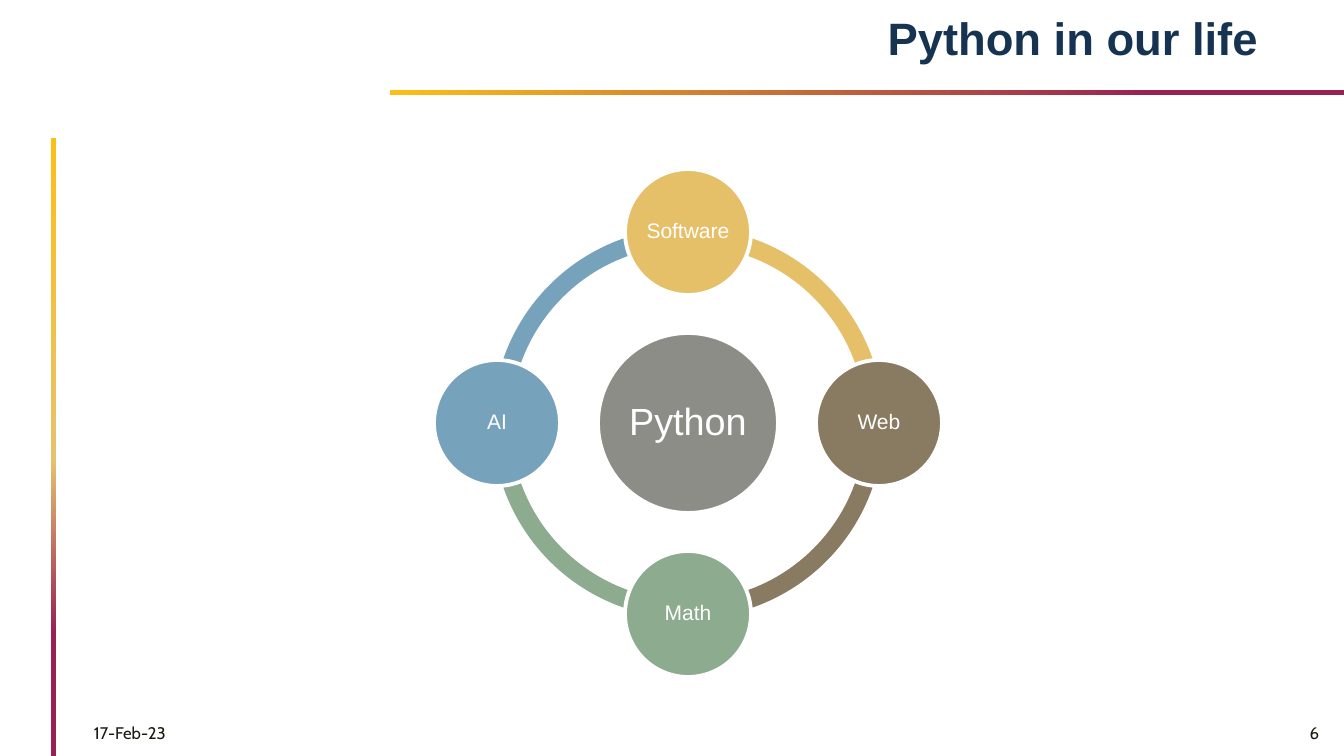
from copy import deepcopy

from pptx import Presentation
from pptx import util as u
from pptx.dml.color import RGBColor
from pptx.enum import shapes, text
from pptx.oxml.ns import qn

EMU_PER_PX = 914400 / 100.8
WHITE, NAVY, INK = "FFFFFF", "163451", "191B0E"
PLUM, SAND, AMBER = "992154", "E7C26E", "FCBF16"
GREY, GOLD, BROWN, GREEN, BLUE = "8C8D86", "E6C069", "897B61", "8DAB8E", "77A2BB"
LEFT, CENTER, RIGHT = text.PP_ALIGN.LEFT, text.PP_ALIGN.CENTER, text.PP_ALIGN.RIGHT
TOP, MIDDLE = text.MSO_ANCHOR.TOP, text.MSO_ANCHOR.MIDDLE


def px(n):
    return u.Emu(round(n * EMU_PER_PX))


def rgb(code):
    return RGBColor.from_string(code)


class Board:
    """Holds the slide and its type style."""

    heading_font = "Arial"
    footer_font = "Cabin"

    def __init__(self, slide):
        self.slide = slide

    def shape(self, kind, x, y, w, h, fill=None):
        item = self.slide.shapes.add_shape(kind, px(x), px(y), px(w), px(h))
        item.shadow.inherit = False
        item.line.fill.background()
        if fill:
            item.fill.solid()
            item.fill.fore_color.rgb = rgb(fill)
        return item

    def bar(self, x, y, w, h, stops, angle):
        stripe = self.shape(shapes.MSO_SHAPE.RECTANGLE, x, y, w, h)
        stripe.fill.gradient()
        stripe.fill.gradient_angle = angle
        stop_list = stripe._element.spPr.find(qn("a:gradFill")).find(qn("a:gsLst"))
        for _ in stops[2:]:
            stop_list.append(deepcopy(stop_list[0]))
        for stop, (position, color) in zip(stripe.fill.gradient_stops, stops):
            stop.position = position
            stop.color.rgb = rgb(color)

    def set_text(self, frame, words, size, color, font, align, anchor, spacing=1.0):
        frame.vertical_anchor = anchor
        line = frame.paragraphs[0]
        line.text = words
        line.alignment = align
        line.line_spacing = spacing
        line.font.size = u.Pt(size)
        line.font.name = font
        line.font.color.rgb = rgb(color)
        return line

    def label(self, x, y, w, h, *style):
        frame = self.slide.shapes.add_textbox(px(x), px(y), px(w), px(h)).text_frame
        frame.word_wrap = True
        return self.set_text(frame, *style)

    def arc(self, cx, cy, diameter, start, end, fill):
        ring = self.shape(shapes.MSO_SHAPE.BLOCK_ARC, cx - diameter / 2,
                          cy - diameter / 2, diameter, diameter, fill)
        # Angles are stored in 60000ths of a degree, adjustments in 100000ths
        for i, value in enumerate((start * 0.6, end * 0.6, 0.046)):
            ring.adjustments[i] = value

    def disc(self, cx, cy, diameter, fill, words, size):
        circle = self.shape(shapes.MSO_SHAPE.OVAL, cx - diameter / 2,
                            cy - diameter / 2, diameter, diameter, fill)
        circle.line.color.rgb = rgb(WHITE)
        circle.line.width = u.Pt(2.75)
        frame = circle.text_frame
        frame.word_wrap = False
        frame.margin_left = frame.margin_right = px(2)
        frame.margin_top = frame.margin_bottom = px(2)
        self.set_text(frame, words, size, WHITE, self.heading_font, CENTER, MIDDLE, 0.9)


def main():
    deck = Presentation()
    deck.slide_width, deck.slide_height = px(1344), px(756)
    board = Board(deck.slides.add_slide(deck.slide_layouts[6]))

    # Gradient bars
    board.bar(51, 138, 5, 618, [(0.2, PLUM), (0.48, SAND), (1, AMBER)], 90)
    board.bar(390, 90, 954, 5, [(0.2, PLUM), (1, AMBER)], 180)

    # Title and footer
    title = board.label(390, 12, 878, 65, "Python in our life", 32.4, NAVY,
                        board.heading_font, RIGHT, TOP, 0.89)
    title.font.bold = True
    for x, w, words, align in ((84, 133, "17-Feb-23", LEFT), (1153, 176, "6", RIGHT)):
        board.label(x, 711, w, 44, words, 12, INK, board.footer_font, align, MIDDLE)

    # Ring: each arc runs clockwise from its topic, a quarter turn long
    cx, cy, orbit = 688, 423, 191
    topics = [("Software", GOLD, 0, -1), ("Web", BROWN, 1, 0),
              ("Math", GREEN, 0, 1), ("AI", BLUE, -1, 0)]
    for i, (_, color, _, _) in enumerate(topics):
        board.arc(cx, cy, 391, (270 + 90 * i) % 360, 90 * i, color)

    # Hub and topics
    board.disc(cx, cy, 180, GREY, "Python", 27)
    for words, color, dx, dy in topics:
        board.disc(cx + orbit * dx, cy + orbit * dy, 126, color, words, 15)

    deck.save("out.pptx")


if __name__ == "__main__":
    main()
